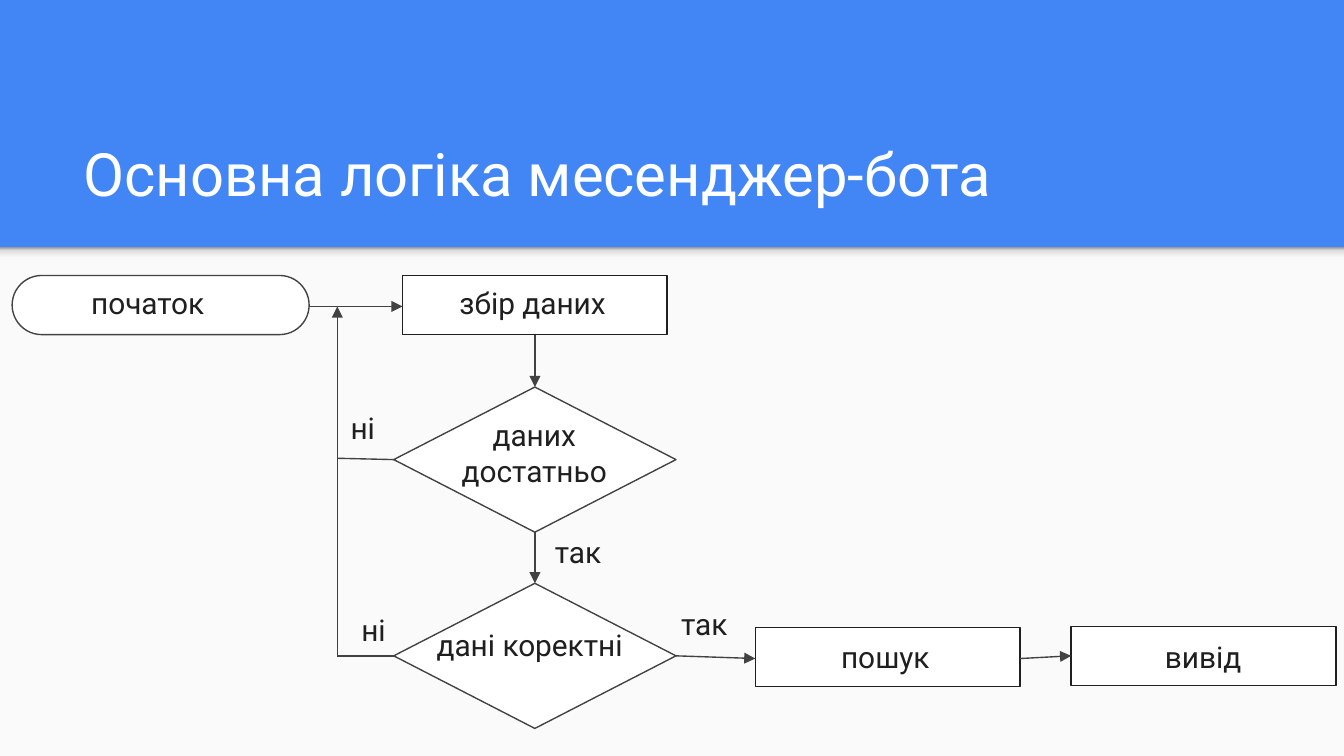
import lxml.etree
import pptx
import pptx.dml.color
import pptx.enum.shapes
import pptx.enum.text
import pptx.oxml
import pptx.oxml.ns
import pptx.util
from dataclasses import dataclass

Inches = pptx.util.Inches
Shape = pptx.enum.shapes.MSO_SHAPE
Align = pptx.enum.text.PP_ALIGN
AutoSize = pptx.enum.text.MSO_AUTO_SIZE
qn = pptx.oxml.ns.qn


@dataclass(frozen=True)
class Theme:
    font: str = "Roboto"
    title_size: int = 32
    label_size: int = 16
    line_width: float = 0.75
    header: str = "4285F4"
    body: str = "FAFAFA"
    white: str = "FFFFFF"
    ink: str = "1F1F1F"
    gray: str = "424242"
    shade: tuple = ((0, "F9F9F9"), (36, "F9F9F9"), (80, "DEDEDE"), (100, "999999"))


theme = Theme()
rgb = pptx.dml.color.RGBColor.from_string


def add_block(kind, left, top, width, height, fill, line=None):
    block = page.shapes.add_shape(kind, *map(Inches, (left, top, width, height)))
    block.shadow.inherit = False
    block.fill.solid()
    block.fill.fore_color.rgb = rgb(fill)
    if line:
        block.line.color.rgb = rgb(line)
        block.line.width = pptx.util.Pt(theme.line_width)
    else:
        block.line.fill.background()
    return block


def write(frame, text, size, color, align=Align.LEFT):
    frame.word_wrap = True
    frame.margin_left = frame.margin_right = Inches(0.1)
    frame.margin_top = frame.margin_bottom = Inches(0.1)
    para = frame.paragraphs[0]
    para.alignment = align
    span = para.add_run()
    span.text = text
    span.font.name = theme.font
    span.font.size = pptx.util.Pt(size)
    span.font.color.rgb = rgb(color)


# A 16:9 page
page_w = 10
page_h = page_w * 9 / 16
deck = pptx.Presentation()
deck.slide_width, deck.slide_height = Inches(page_w), Inches(page_h)
page = deck.slides.add_slide(deck.slide_layouts[5])
page.background.fill.solid()
page.background.fill.fore_color.rgb = rgb(theme.header)

# Light body with a soft shade under the header
header_bottom = 1.84
add_block(Shape.RECTANGLE, 0, header_bottom, page_w, page_h - header_bottom, theme.body)
shade = add_block(Shape.RECTANGLE, 0, header_bottom, page_w, 0.12, theme.body)
shade.fill.gradient()
shade.fill.gradient_angle = 90
stops = shade._element.spPr.find(qn("a:gradFill")).find(qn("a:gsLst"))
for stop in list(stops):
    stops.remove(stop)
for percent, color in theme.shade:
    stop = lxml.etree.SubElement(stops, qn("a:gs"), pos=str(percent * 1000))
    lxml.etree.SubElement(stop, qn("a:srgbClr"), val=color)

title = page.shapes.title
title.left, title.top, title.width, title.height = map(Inches, (0.52, 0.81, 8.99, 0.84))
title.text_frame.auto_size = AutoSize.NONE
title.text_frame.vertical_anchor = pptx.enum.text.MSO_ANCHOR.BOTTOM
write(title.text_frame, "Основна логіка месенджер-бота", theme.title_size, theme.white)

# Flowchart grid: columns, rows and node sizes
step_w, step_h = 1.97, 0.44
choice_w, choice_h = 2.1, 1.08
loop_x, main_x = 2.51, 3.98
search_x, output_x = 5.62, 7.97
start_y, enough_y, valid_y = 2.28, 3.42, 4.88
start_x, start_w = 0.09, 2.21
step_top = 2.05
collect_x = main_x - step_w / 2
choice_left, choice_right = main_x - choice_w / 2, main_x + choice_w / 2

start = add_block(Shape.ROUNDED_RECTANGLE, start_x, step_top, start_w, step_h,
                  theme.white, theme.gray)
start.adjustments[0] = 0.5
for left, top in ((collect_x, step_top), (search_x, 4.67), (output_x, 4.66)):
    add_block(Shape.RECTANGLE, left, top, step_w, step_h, theme.white, theme.ink)
for middle in (enough_y, valid_y):
    add_block(Shape.FLOWCHART_DECISION, choice_left, middle - choice_h / 2,
              choice_w, choice_h, theme.white, theme.gray)

# Links: x and y of both ends, and whether there is an arrowhead
links = (
    (start_x + start_w, start_y, collect_x, start_y, True),
    (main_x, step_top + step_h, main_x, enough_y - choice_h / 2, True),
    (main_x, enough_y + choice_h / 2, main_x, valid_y - choice_h / 2, True),
    (choice_left, enough_y, loop_x, 3.41, False),
    (loop_x, 3.41, loop_x, start_y, True),
    (choice_left, valid_y, loop_x, valid_y, False),
    (loop_x, valid_y, loop_x, 3.39, False),
    (choice_right, valid_y, search_x, 4.9, True),
    (search_x + step_w, 4.9, output_x, valid_y, True),
)
for x1, y1, x2, y2, arrow in links:
    link = page.shapes.add_connector(pptx.enum.shapes.MSO_CONNECTOR.STRAIGHT,
                                     *map(Inches, (x1, y1, x2, y2)))
    link.line.color.rgb = rgb(theme.gray)
    link.line.width = pptx.util.Pt(theme.line_width)
    if arrow:
        line = link._element.spPr.find(qn("a:ln"))
        lxml.etree.SubElement(line, qn("a:tailEnd"), type="triangle")
    lxml.etree.SubElement(link._element.spPr, qn("a:effectLst"))

# Labels: text, left, top, width, height, alignment
row_h = 0.47
labels = (
    ("початок", 0.58, 2.02, 1.25, row_h, Align.LEFT),
    ("збір даних", 3.32, 2.02, 1.31, row_h, Align.LEFT),
    ("даних достатньо", 3.18, 3, 1.59, 0.74, Align.CENTER),
    ("дані коректні", 3.15, 4.56, 1.59, row_h, Align.LEFT),
    ("пошук", 6.16, 4.65, 0.92, row_h, Align.LEFT),
    ("вивід", 8.57, 4.65, 0.77, row_h, Align.LEFT),
    ("ні", 2.51, 2.95, 0.49, row_h, Align.LEFT),
    ("ні", 2.59, 4.45, 0.49, row_h, Align.LEFT),
    ("так", 4.03, 3.87, 0.6, row_h, Align.LEFT),
    ("так", 4.97, 4.41, 0.6, row_h, Align.LEFT),
)
for text, left, top, width, height, align in labels:
    box = page.shapes.add_textbox(*map(Inches, (left, top, width, height)))
    box.text_frame.auto_size = AutoSize.SHAPE_TO_FIT_TEXT
    write(box.text_frame, text, theme.label_size, theme.ink, align)

deck.save("out.pptx")
